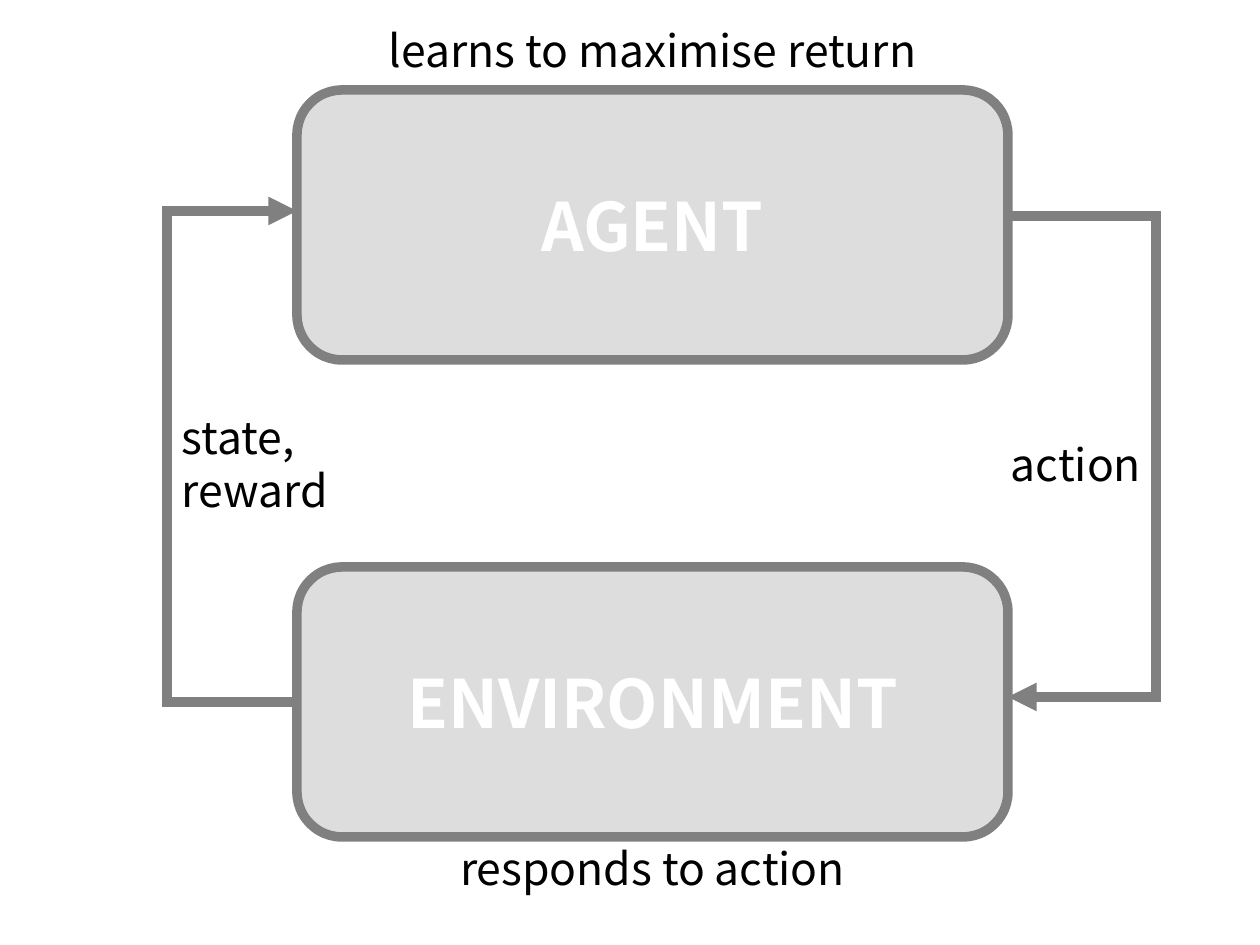
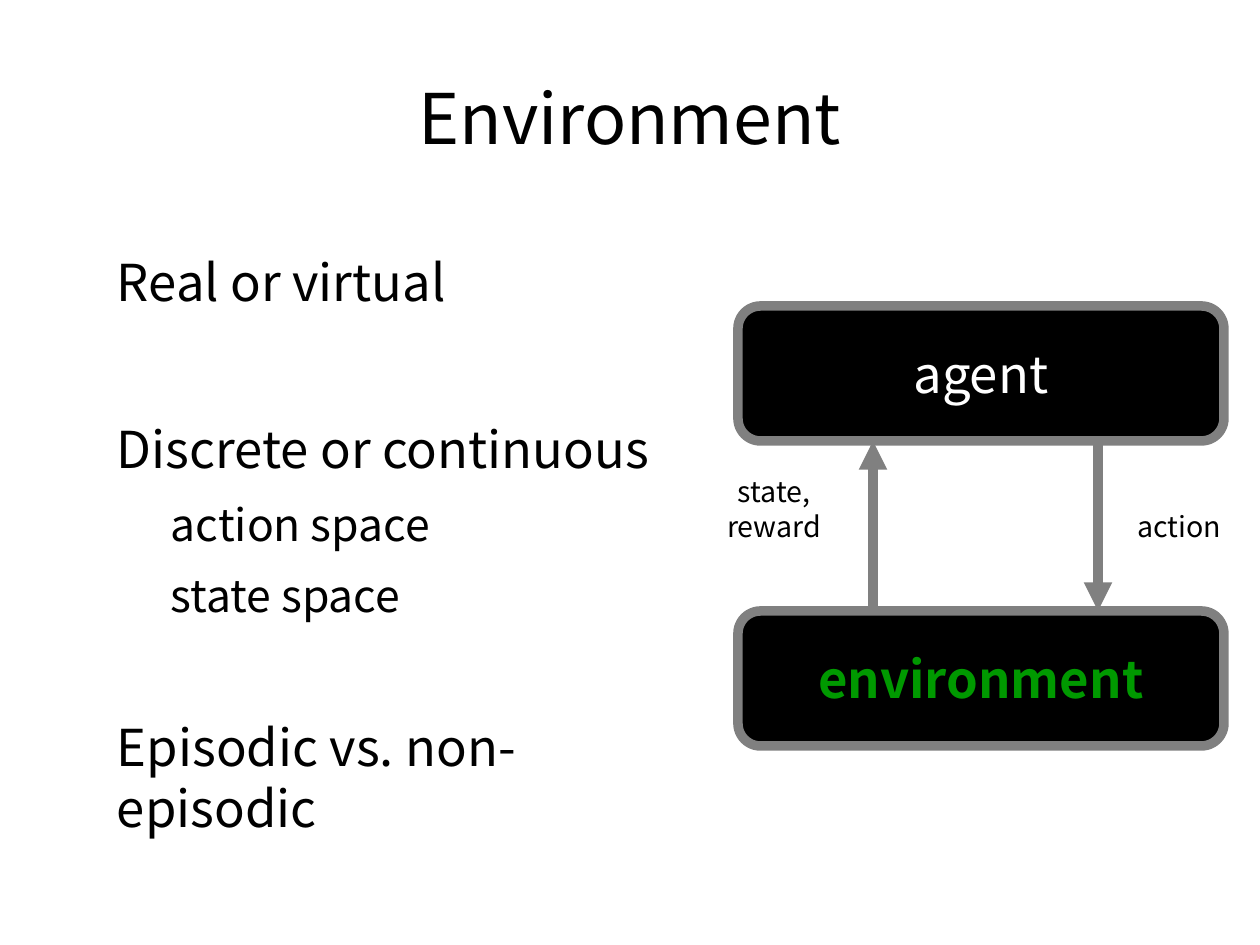
from collections import namedtuple
from dataclasses import dataclass
from lxml.etree import SubElement
from pptx import Presentation
from pptx.dml.color import RGBColor
from pptx.enum.shapes import MSO_CONNECTOR, MSO_SHAPE
from pptx.enum.text import MSO_ANCHOR, PP_ALIGN
from pptx.oxml.ns import qn
from pptx.util import Pt

PX = 8000
Box = namedtuple("Box", "x y w h")
LEFT, MID, RIGHT = PP_ALIGN.LEFT, PP_ALIGN.CENTER, PP_ALIGN.RIGHT


@dataclass(frozen=True)
class Theme:
    """Colours, font and type sizes of both slides."""
    font: str = "Noto Sans CJK JP"
    ink: str = "000000"
    paper: str = "FFFFFF"
    pale: str = "DDDDDD"
    edge: str = "808080"
    green: str = "009900"
    title: int = 44
    name: int = 42
    body: int = 32
    sub: int = 28
    small: int = 18
    stroke: int = 6


T = Theme()


def scale(*vals):
    """Turn px into EMU."""
    return [v * PX for v in vals]


def rgb(code):
    """Give the colour for a hex code."""
    return RGBColor.from_string(code)


def write(para, text, size, color=T.ink, bold=False):
    """Add one styled run."""
    run = para.add_run()
    run.text = text
    font = run.font
    font.name, font.size, font.bold = T.font, Pt(size), bold
    font.color.rgb = rgb(color)


def pad(frame, side, top):
    """Wrap a frame and set its margins."""
    frame.word_wrap = True
    frame.margin_left = frame.margin_right = side * PX
    frame.margin_top = frame.margin_bottom = top * PX


def label(slide, box, lines, size, align=MID):
    """Place lines of text, centred in height."""
    frame = slide.shapes.add_textbox(*scale(*box)).text_frame
    pad(frame, 11, 6)
    frame.vertical_anchor = MSO_ANCHOR.MIDDLE
    for i, line in enumerate(lines):
        para = frame.add_paragraph() if i else frame.paragraphs[0]
        para.alignment = align
        write(para, line, size)


def card(slide, box, text, fill, size, color, bold=False):
    """Place a named round box."""
    shape = slide.shapes.add_shape(MSO_SHAPE.ROUNDED_RECTANGLE, *scale(*box))
    shape.shadow.inherit = False
    shape.fill.solid()
    shape.fill.fore_color.rgb = rgb(fill)
    shape.line.color.rgb = rgb(T.edge)
    shape.line.width = Pt(T.stroke)
    frame = shape.text_frame
    pad(frame, 16, 10)
    frame.vertical_anchor = MSO_ANCHOR.MIDDLE
    para = frame.paragraphs[0]
    para.alignment = MID
    write(para, text, size, color, bold)


def link(slide, start, end, head=False):
    """Draw a straight line, with an arrowhead if asked."""
    line = slide.shapes.add_connector(MSO_CONNECTOR.STRAIGHT, *scale(*start, *end))
    line.line.color.rgb = rgb(T.edge)
    line.line.width = Pt(T.stroke)
    if head:
        SubElement(line.line._get_or_add_ln(), qn("a:tailEnd"), type="triangle")
    SubElement(line._element.spPr, qn("a:effectLst"))


def cycle(slide, box):
    """Draw the large loop of agent and environment."""
    x, y, w, h = box
    left, right = x + 135, x + w - 153
    wide, tall, half = right - left, 270, 5
    for top, name in ((y, "AGENT"), (y + h - tall, "ENVIRONMENT")):
        card(slide, Box(left, top, wide, tall), name, T.pale, T.name, T.paper, True)
    high, low = y + 121, y + 612
    link(slide, (right, high + half), (x + w, high + half))
    link(slide, (x + w - half, high), (x + w - half, low))
    link(slide, (x + w - half, low - half), (right, low - half), True)
    link(slide, (x, high), (left, high), True)
    link(slide, (x + half, high), (x + half, low))
    link(slide, (x, low), (left, low))
    side = Box(x + 9, y + 279, 216, 189)
    label(slide, side, ["state,", "reward"], T.sub, LEFT)
    label(slide, side._replace(x=x + w - 225), ["action"], T.sub, RIGHT)
    note = Box(left, y - 86, wide, 92)
    label(slide, note, ["learns to maximise return"], T.sub)
    label(slide, note._replace(y=y + h - 15), ["responds to action"], T.sub)


def panel(slide, box):
    """Draw the small agent and environment pair."""
    x, y, w, h = box
    tall = 135
    low = y + h - tall
    card(slide, Box(x, low, w, tall), "environment", T.ink, T.body, T.green, True)
    card(slide, Box(x, y, w, tall), "agent", T.ink, T.body, T.paper)
    link(slide, (x + 135, low), (x + 135, y + tall), True)
    link(slide, (x + 360, y + tall), (x + 360, low), True)
    label(slide, Box(x + 378, y + 144, 126, 153), ["action"], T.small)
    label(slide, Box(x - 27, y + 126, 126, 153), ["state,", "reward"], T.small)


def points(slide, box, items):
    """Place the indented list."""
    frame = slide.shapes.add_textbox(*scale(*box)).text_frame
    pad(frame, 0, 0)
    for i, (text, level, gap) in enumerate(items):
        para = frame.add_paragraph() if i else frame.paragraphs[0]
        para.level = level
        para._p.get_or_add_pPr().set("marL", str(54 * (level + 1) * PX))
        para.space_before = Pt(gap)
        write(para, text, T.sub if level else T.body)


def main():
    """Build both slides and save them."""
    deck = Presentation()
    deck.slide_width = 1260 * PX
    deck.slide_height = 945 * PX
    blank = deck.slide_layouts[6]
    first = deck.slides.add_slide(blank)
    cycle(first, Box(162, 90, 999, 747))
    second = deck.slides.add_slide(blank)
    label(second, Box(63, 38, 1134, 158), ["Environment"], T.title)
    points(second, Box(63, 251, 630, 648), [
        ("Real or virtual", 0, 0),
        ("Discrete or continuous", 0, 66.8),
        ("action space", 1, 11.3),
        ("state space", 1, 11.3),
        ("Episodic vs. non-episodic", 0, 59),
    ])
    panel(second, Box(738, 306, 486, 440))
    deck.save("out.pptx")


if __name__ == "__main__":
    main()
